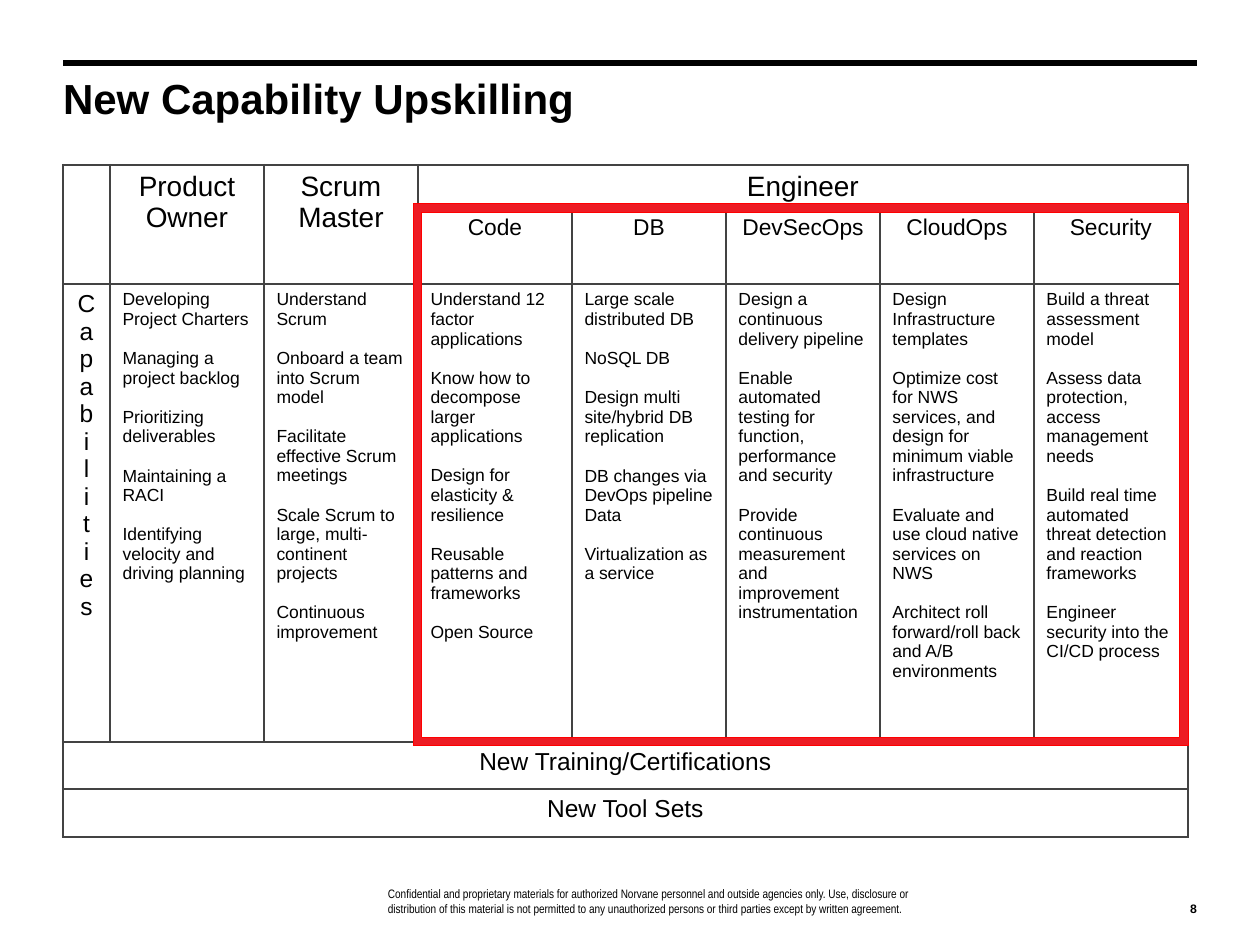
from pptx import Presentation
from pptx.dml.color import RGBColor
from pptx.enum.shapes import MSO_CONNECTOR, MSO_SHAPE
from pptx.enum.text import MSO_ANCHOR, MSO_AUTO_SIZE, PP_ALIGN
from pptx.oxml import parse_xml
from pptx.oxml.ns import nsdecls
from pptx.util import Pt
from lxml.etree import SubElement

EMU_PER_PX = 914400 / 126
COLORS = {"text": "000000", "paper": "FFFFFF", "grid": "434343",
          "frame": "ED1C24", "frame_edge": "FF0000"}
COLUMN_WIDTHS = [47] + [154] * 7
ROW_HEIGHTS = [44, 75, 458, 47, 48]
SPECIALTIES = ["Code", "DB", "DevSecOps", "CloudOps", "Security"]
CAPABILITIES = [
    ["Developing Project Charters", "Managing a project backlog",
     "Prioritizing deliverables", "Maintaining a RACI",
     "Identifying velocity and driving planning"],
    ["Understand Scrum", "Onboard a team into Scrum model",
     "Facilitate effective Scrum meetings",
     "Scale Scrum to large, multi-continent projects",
     "Continuous improvement"],
    ["Understand 12 factor applications",
     "Know how to decompose larger applications",
     "Design for elasticity & resilience",
     "Reusable patterns and frameworks", "Open Source"],
    ["Large scale distributed DB", "NoSQL DB",
     "Design multi site/hybrid DB replication",
     "DB changes via DevOps pipeline\vData", "Virtualization as a service"],
    ["Design a continuous delivery pipeline",
     "Enable automated testing for function, performance and security",
     "Provide continuous measurement and improvement instrumentation"],
    ["Design Infrastructure templates",
     "Optimize cost for NWS services, and design for minimum viable infrastructure",
     "Evaluate and use cloud native services on NWS",
     "Architect roll forward/roll back and A/B environments"],
    ["Build a threat assessment model",
     "Assess data protection, access management needs",
     "Build real time automated threat detection and reaction frameworks",
     "Engineer security into the CI/CD process"],
]
FOOTER = ("Confidential and proprietary materials for authorized Norvane personnel "
          "and outside agencies only. Use, disclosure or distribution of this material "
          "is not permitted to any unauthorized persons or third parties except by "
          "written agreement.")


def px(value):
    """Turn slide pixels into EMU."""
    return round(value * EMU_PER_PX)


def color(name):
    """Look up a named colour."""
    return RGBColor.from_string(COLORS[name])


def write(text_frame, texts, size, align=PP_ALIGN.LEFT, bold=False, font="Arial", gap=0):
    """Fill a text frame with formatted paragraphs, spaced by gap points."""
    text_frame.text = "\n".join(texts)
    for index, paragraph in enumerate(text_frame.paragraphs):
        paragraph.alignment = align
        paragraph.space_before = Pt(gap if index else 0)
        for run in paragraph.runs:
            run.font.name = font
            run.font.size = Pt(size)
            run.font.bold = bold
            run.font.color.rgb = color("text")


def set_frame(text_frame, anchor, right=0):
    """Set wrapping, anchor and insets of a text frame."""
    text_frame.word_wrap = True
    text_frame.auto_size = MSO_AUTO_SIZE.NONE
    text_frame.vertical_anchor = anchor
    text_frame.margin_left = text_frame.margin_top = text_frame.margin_bottom = 0
    text_frame.margin_right = px(right)


def add_title(slide, text):
    """Place and format the slide title."""
    title = slide.shapes.title
    title.left, title.top, title.width, title.height = map(px, (63, 82, 977, 95))
    set_frame(title.text_frame, MSO_ANCHOR.TOP)
    write(title.text_frame, [text], 24, bold=True)
    title.text_frame.paragraphs[0].line_spacing = 0.8


def add_footer_text(slide, box, text, right=0, **style):
    """Add small text that sits on the bottom of its box."""
    text_frame = slide.shapes.add_textbox(*map(px, box)).text_frame
    set_frame(text_frame, MSO_ANCHOR.BOTTOM, right)
    write(text_frame, [text], 7, **style)


def add_rule(slide):
    """Add the heavy line above the title."""
    rule = slide.shapes.add_connector(
        MSO_CONNECTOR.STRAIGHT, px(63), px(63), px(1197), px(63))
    rule.line.color.rgb = color("text")
    rule.line.width = Pt(3.75)
    properties = rule._element.spPr
    SubElement(properties, properties.tag.replace("}spPr", "}effectLst").replace(
        "presentationml", "drawingml").replace("2006/main", "2006/main"))


def style_cell(cell):
    """Give a cell four grid lines and a plain fill."""
    properties = cell._tc.get_or_add_tcPr()
    for side in ("lnL", "lnR", "lnT", "lnB"):
        properties.append(parse_xml(
            f'<a:{side} {nsdecls("a")} w="{Pt(1.5)}"><a:solidFill>'
            f'<a:srgbClr val="{COLORS["grid"]}"/></a:solidFill></a:{side}>'))
    cell.fill.solid()
    cell.fill.fore_color.rgb = color("paper")


def add_capability_table(slide):
    """Add the table of roles and capabilities."""
    table = slide.shapes.add_table(
        len(ROW_HEIGHTS), len(COLUMN_WIDTHS), px(63), px(165),
        px(sum(COLUMN_WIDTHS)), px(sum(ROW_HEIGHTS))).table
    table.first_row = table.horz_banding = False
    for column, width in zip(table.columns, COLUMN_WIDTHS):
        column.width = px(width)
    for row, height in zip(table.rows, ROW_HEIGHTS):
        row.height = px(height)
    for cell in table.iter_cells():
        style_cell(cell)
    for column in range(3):
        table.cell(0, column).merge(table.cell(1, column))
    for row, first in ((0, 3), (3, 0), (4, 0)):
        table.cell(row, first).merge(table.cell(row, 7))

    headings = [(0, 1, "Product Owner", 16), (0, 2, "Scrum Master", 16),
                (0, 3, "Engineer", 16), (2, 0, "\v".join("Capabilities"), 14),
                (3, 0, "New Training/Certifications", 14), (4, 0, "New Tool Sets", 14)]
    headings += [(1, column, name, 13) for column, name in enumerate(SPECIALTIES, 3)]
    for row, column, text, size in headings:
        write(table.cell(row, column).text_frame, [text], size, PP_ALIGN.CENTER)
    for column, items in enumerate(CAPABILITIES, 1):
        write(table.cell(2, column).text_frame, items, 10, gap=11.2)


def add_highlight(slide):
    """Add the frame around the engineer specialties."""
    frame = slide.shapes.add_shape(MSO_SHAPE.FRAME, *map(px, (413, 204, 775, 542)))
    frame.adjustments[0] = 0.015
    frame.shadow.inherit = False
    frame.fill.solid()
    frame.fill.fore_color.rgb = color("frame")
    frame.line.color.rgb = color("frame_edge")
    frame.line.width = Pt(0.5)


def main():
    """Build and save the slide."""
    presentation = Presentation()
    presentation.slide_width, presentation.slide_height = px(1260), px(945)
    slide = presentation.slides.add_slide(presentation.slide_layouts[5])
    add_footer_text(slide, (388, 884, 554, 32), FOOTER, right=25, font="Arial Narrow")
    add_rule(slide)
    add_footer_text(slide, (1166, 884, 31, 32), "8", align=PP_ALIGN.RIGHT, bold=True)
    add_title(slide, "New Capability Upskilling")
    add_capability_table(slide)
    add_highlight(slide)
    presentation.save("out.pptx")


if __name__ == "__main__":
    main()
